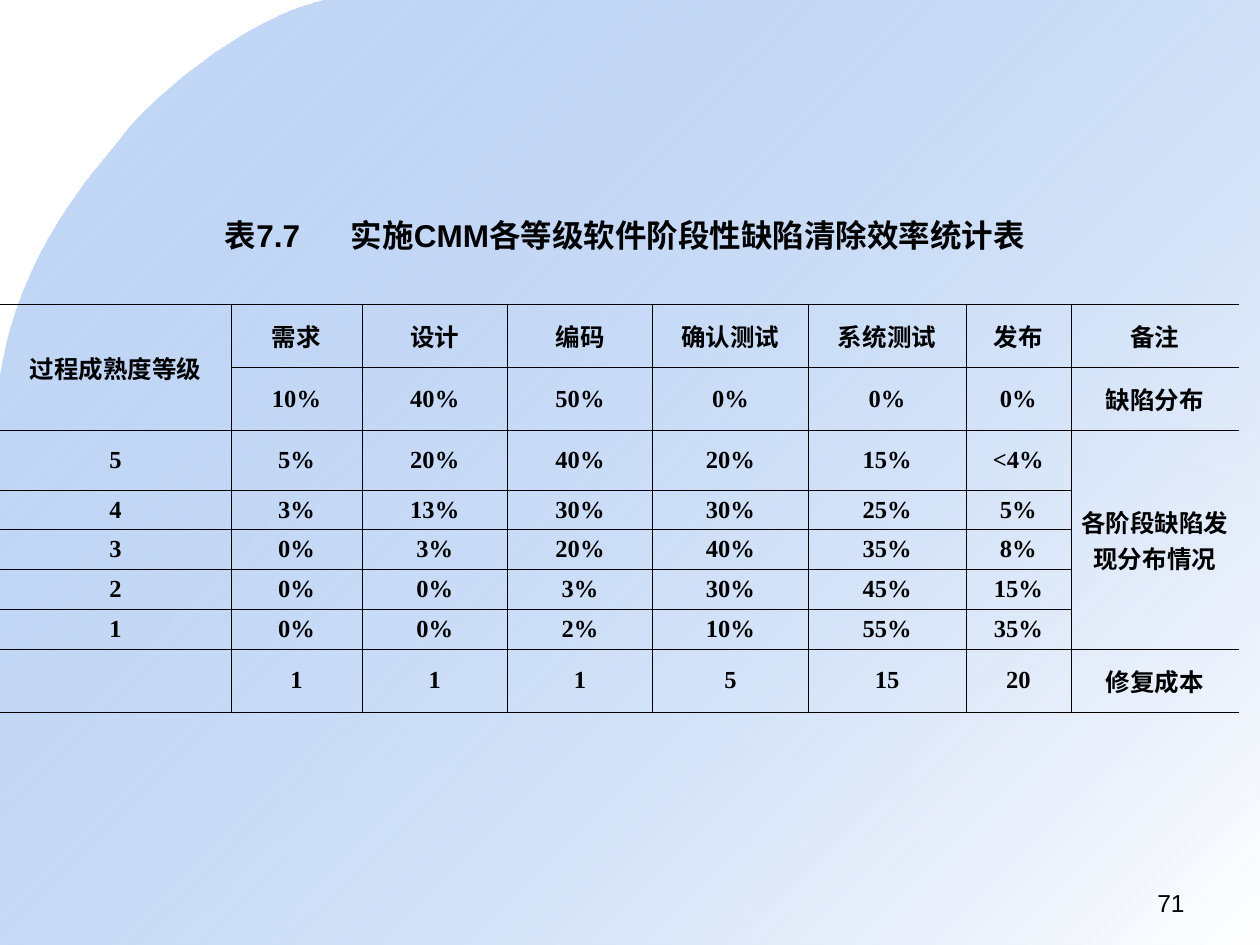
from lxml import etree
from pptx import Presentation
from pptx.dml.color import RGBColor
from pptx.enum import text
from pptx.oxml import ns
from pptx.util import Pt

BLACK = RGBColor(0, 0, 0)
WHITE = RGBColor(255, 255, 255)
BLUE = RGBColor(0x69, 0x9D, 0xE9)

COLS = [132, 75, 83, 83, 89, 90, 60, 96]
ROWS = [36, 36, 34, 18, 18, 18, 18, 36]
DATA = [
    ["过程成熟度等级", "需求", "设计", "编码", "确认测试", "系统测试", "发布", "备注"],
    ["", "10%", "40%", "50%", "0%", "0%", "0%", "缺陷分布"],
    ["5", "5%", "20%", "40%", "20%", "15%", "<4%", "各阶段缺陷发现分布情况"],
    ["4", "3%", "13%", "30%", "30%", "25%", "5%", ""],
    ["3", "0%", "3%", "20%", "40%", "35%", "8%", ""],
    ["2", "0%", "0%", "3%", "30%", "45%", "15%", ""],
    ["1", "0%", "0%", "2%", "10%", "55%", "35%", ""],
    ["", "1", "1", "1", "5", "15", "20", "修复成本"],
]


def write(tf, content, size=14, font="Arial", bold=False, align=text.PP_ALIGN.CENTER, space=0, tab=None):
    """Put one formatted paragraph into a text frame."""
    p = tf.paragraphs[0]
    p.alignment = align
    p.space_before = p.space_after = Pt(space)
    if tab:
        tabs = etree.SubElement(p._p.get_or_add_pPr(), ns.qn("a:tabLst"))
        etree.SubElement(tabs, ns.qn("a:tab"), pos=str(Pt(tab)), algn="l")
    r = p.add_run()
    r.text = content
    r.font.size, r.font.name, r.font.bold = Pt(size), font, bold
    r.font.color.rgb = BLACK


def bezier(a, b, c, d, steps=24):
    """Return points along a cubic curve, without its start."""
    return [tuple((1 - t) ** 3 * i + 3 * (1 - t) ** 2 * t * j + 3 * (1 - t) * t ** 2 * k + t ** 3 * m
                  for i, j, k, m in zip(a, b, c, d))
            for t in (n / steps for n in range(1, steps + 1))]


def add_backdrop(s, x, y, w, h):
    """Draw the gradient field with its curved top left corner."""
    start, joint, end = (0.258, 0), (0.098, 0.143), (0, 0.401)
    points = bezier(start, (0.19, 0.021), (0.116, 0.111), joint)
    points += bezier(joint, (0.08, 0.176), (0.016, 0.259), end)
    points += [(0, 1), (1, 1), (1, 0)]
    place = [(Pt(x + w * px), Pt(y + h * py)) for px, py in [start] + points]
    fb = s.shapes.build_freeform(*place[0])
    fb.add_line_segments(place[1:], close=True)
    sp = fb.convert_to_shape()
    sp.shadow.inherit = False
    sp.line.fill.background()
    sp.fill.gradient()
    sp.fill.gradient_angle = 315
    for stop, position, color in zip(sp.fill.gradient_stops, (0, 1), (BLUE, WHITE)):
        stop.position = position
        stop.color.rgb = color
    first = sp.element.find(".//" + ns.qn("a:srgbClr"))
    etree.SubElement(first, ns.qn("a:alpha"), val="39000")
    sp.element.getparent().insert(2, sp.element)


def add_title(s, x, y, w, h):
    """Place the table caption in the title placeholder."""
    sp = s.shapes.title
    sp.left, sp.top, sp.width, sp.height = Pt(x), Pt(y), Pt(w), Pt(h)
    tf = sp.text_frame
    tf.word_wrap = True
    tf.auto_size = text.MSO_AUTO_SIZE.NONE
    tf.vertical_anchor = text.MSO_ANCHOR.TOP
    write(tf, "表7.7\t实施CMM各等级软件阶段性缺陷清除效率统计表", size=18, bold=True, tab=72)


def set_borders(cell, hidden):
    """Rule every side of a cell except the hidden ones."""
    tcPr = cell._tc.get_or_add_tcPr()
    for side in ("lnL", "lnR", "lnT", "lnB"):
        ln = etree.SubElement(tcPr, ns.qn("a:" + side), w=str(Pt(0.45)))
        if side in hidden:
            etree.SubElement(ln, ns.qn("a:noFill"))
        else:
            fill = etree.SubElement(ln, ns.qn("a:solidFill"))
            etree.SubElement(fill, ns.qn("a:srgbClr"), val=str(BLACK))


def add_defect_table(s, x, y):
    """Build the table of defect removal by maturity level."""
    last = len(COLS) - 1
    tbl = s.shapes.add_table(len(ROWS), len(COLS), Pt(x), Pt(y), Pt(sum(COLS)), Pt(sum(ROWS))).table
    tbl.first_row = tbl.horz_banding = False
    for col, width in zip(tbl.columns, COLS):
        col.width = Pt(width)
    for row, height in zip(tbl.rows, ROWS):
        row.height = Pt(height)
    for i, values in enumerate(DATA):
        for j, value in enumerate(values):
            cell = tbl.cell(i, j)
            set_borders(cell, {0: ["lnL"], last: ["lnR"]}.get(j, []))
            cell.fill.background()
            cell.vertical_anchor = text.MSO_ANCHOR.MIDDLE
            cell.margin_left = cell.margin_right = Pt(5.4)
            if value:
                write(cell.text_frame, value, font="Times New Roman", bold=True, space=1.2)
    tbl.cell(0, 0).merge(tbl.cell(1, 0))
    tbl.cell(2, last).merge(tbl.cell(6, last))


def add_page_number(s, x, y, w, h):
    """Place the page number."""
    tf = s.shapes.add_textbox(Pt(x), Pt(y), Pt(w), Pt(h)).text_frame
    tf.word_wrap = True
    write(tf, "71", align=text.PP_ALIGN.RIGHT)


def main():
    """Build and save the slide."""
    prs = Presentation()
    prs.slide_width, prs.slide_height = Pt(720), Pt(540)
    s = prs.slides.add_slide(prs.slide_layouts[5])
    add_backdrop(s, 0, 0, 720, 540)
    add_defect_table(s, 0, 174)
    add_title(s, 102, 120, 510, 29)
    add_page_number(s, 516, 504, 168, 25)
    prs.save("out.pptx")


if __name__ == "__main__":
    main()
